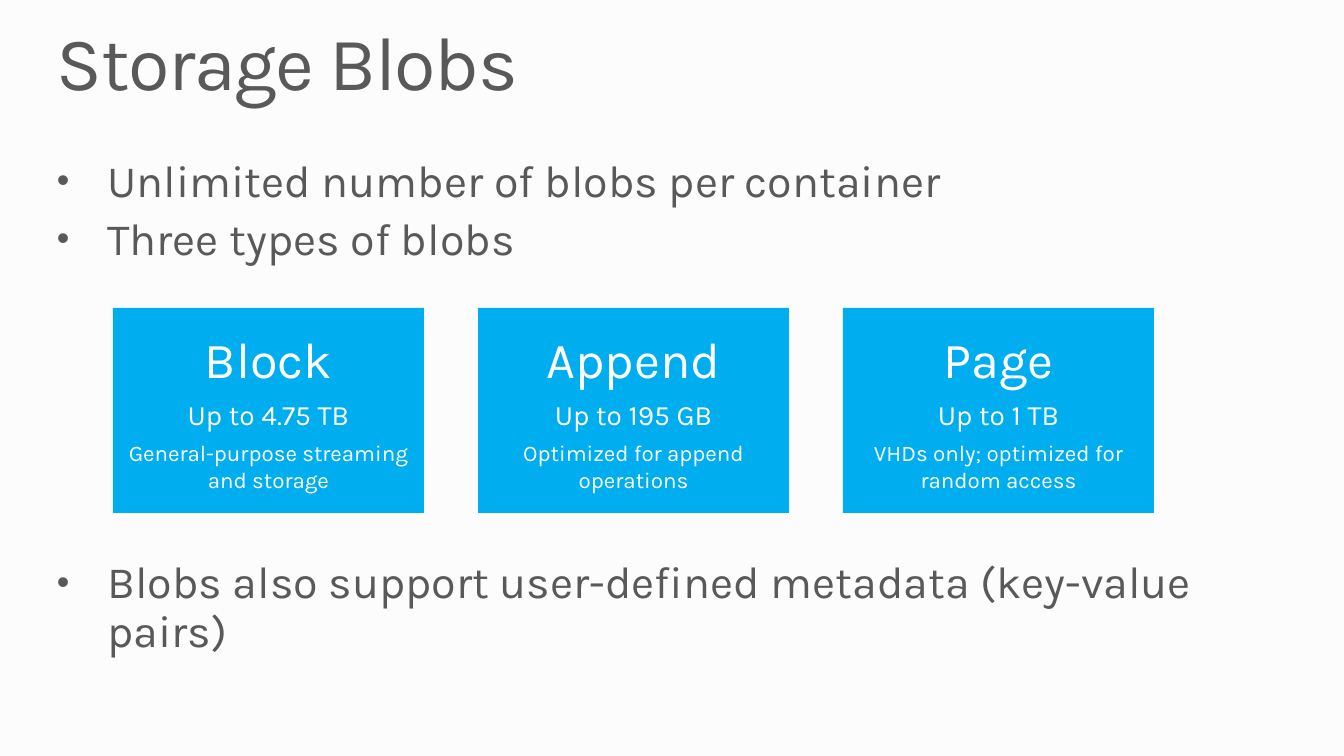
"""Build the Storage Blobs slide."""
import pptx
import pptx.util
import pptx.dml.color
import pptx.enum.shapes
import pptx.enum.text
import lxml.etree
import pptx.oxml.ns

PX = 914400 / 100.8
FONT = "Karla"
GRAY = pptx.dml.color.RGBColor(0x59, 0x59, 0x59)
BLUE = pptx.dml.color.RGBColor(0x00, 0xAE, 0xEF)
WHITE = pptx.dml.color.RGBColor(0xFF, 0xFF, 0xFF)
PAPER = pptx.dml.color.RGBColor(0xFC, 0xFC, 0xFC)


def add_box(top, high):
    box = slide.shapes.add_textbox(*[round(n * PX) for n in (57, top, 1230, high)])
    frame = box.text_frame
    frame.word_wrap = True
    frame.margin_left = frame.margin_right = 0
    frame.margin_top = frame.margin_bottom = 0
    return frame


def style(para, text, size, color):
    para.text = text
    font = para.runs[0].font
    font.name = FONT
    font.size = pptx.util.Pt(size)
    font.color.rgb = color


deck = pptx.Presentation()
deck.slide_width = round(1344 * PX)
deck.slide_height = round(756 * PX)
slide = deck.slides.add_slide(deck.slide_layouts[6])
slide.background.fill.solid()
slide.background.fill.fore_color.rgb = PAPER

title = add_box(25, 83).paragraphs[0]
style(title, "Storage Blobs", 54, GRAY)
title.line_spacing = 0.9
title.runs[0].font._element.set("spc", "-100")

points = [
    ("Unlimited number of blobs per container", 6.4),
    ("Three types of blobs", 6.4),
    ("Blobs also support user-defined metadata (key-value pairs)", 211),
]
body = add_box(159, 467)
for i, (text, gap) in enumerate(points):
    para = body.paragraphs[0] if i == 0 else body.add_paragraph()
    style(para, text, 32, GRAY)
    para.line_spacing = 0.9
    para.space_before = pptx.util.Pt(gap)
    props = para._p.get_or_add_pPr()
    props.set("marL", str(pptx.util.Inches(0.5)))
    props.set("indent", str(-pptx.util.Inches(0.5)))
    for tag, key, val in [
        ("a:buSzPct", "val", "80000"),
        ("a:buFont", "typeface", "Arial"),
        ("a:buChar", "char", "•"),
    ]:
        lxml.etree.SubElement(props, pptx.oxml.ns.qn(tag)).set(key, val)

cards = [
    ("Block", "Up to 4.75 TB", "General-purpose streaming and storage"),
    ("Append", "Up to 195 GB", "Optimized for append operations"),
    ("Page", "Up to 1 TB", "VHDs only; optimized for random access"),
]
for col, lines in enumerate(cards):
    card = slide.shapes.add_shape(
        pptx.enum.shapes.MSO_SHAPE.RECTANGLE,
        *[round(n * PX) for n in (113 + 365 * col, 308, 311, 205)]
    )
    card.shadow.inherit = False
    card.fill.solid()
    card.fill.fore_color.rgb = BLUE
    card.line.fill.background()
    frame = card.text_frame
    frame.word_wrap = True
    frame.vertical_anchor = pptx.enum.text.MSO_ANCHOR.MIDDLE
    for i, (text, size, gap) in enumerate(zip(lines, (36, 20, 16), (6, 6, 0))):
        para = frame.paragraphs[0] if i == 0 else frame.add_paragraph()
        style(para, text, size, WHITE)
        para.alignment = pptx.enum.text.PP_ALIGN.CENTER
        para.space_after = pptx.util.Pt(gap)

deck.save("out.pptx")
